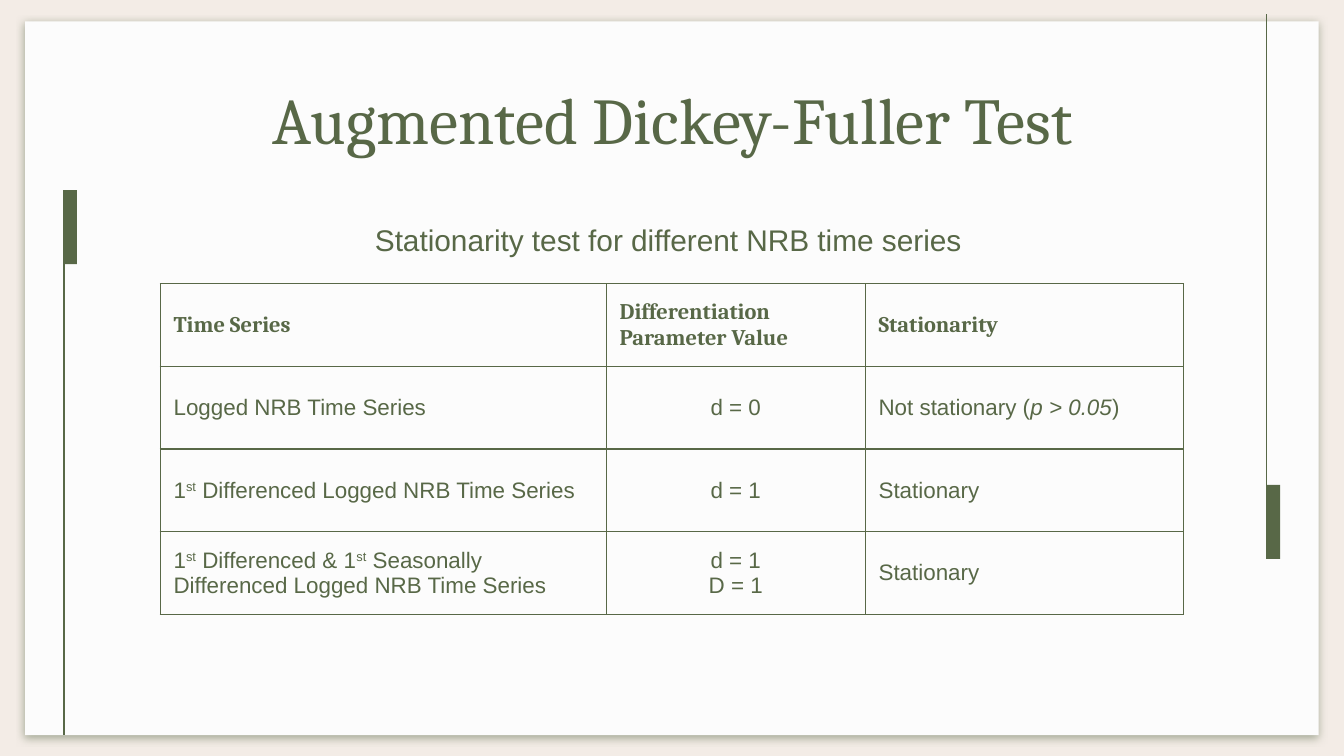
import copy
from dataclasses import dataclass

import lxml.etree
import pptx
import pptx.dml.color
import pptx.enum.shapes
import pptx.enum.text
import pptx.oxml.ns
import pptx.util

Pt = pptx.util.Pt
qn = pptx.oxml.ns.qn
RGB = pptx.dml.color.RGBColor.from_string
Align = pptx.enum.text.PP_ALIGN
Middle = pptx.enum.text.MSO_ANCHOR.MIDDLE


@dataclass(frozen=True)
class Theme:
    green: str = "586847"
    paper: str = "FCFCFC"
    backdrop: str = "F3ECE6"
    heading: str = "Cambria"
    body: str = "Arial"
    title_size: float = 35
    subtitle_size: float = 16
    table_size: float = 12
    line: float = 0.75
    inset: float = 7.2


@dataclass(frozen=True)
class Box:
    x: float
    y: float
    w: float
    h: float

    def lengths(self):
        return [Pt(v) for v in (self.x, self.y, self.w, self.h)]


@dataclass(frozen=True)
class Span:
    text: str
    italic: bool = False
    superscript: bool = False


@dataclass(frozen=True)
class Ornament:
    """A thin line with a bar beside it."""
    bar: Box
    line_x: float
    line_top: float
    line_bottom: float


THEME = Theme()
ST = Span("st", superscript=True)
ORNAMENTS = [
    Ornament(Box(34.0, 101.9, 7.2, 39.6), 34.4, 101.9, 393.8),
    Ornament(Box(678.6, 259.8, 7.2, 39.6), 678.4, 7.7, 299.4),
]
TABLE = Box(85.8, 152, 548.3, 177.2)
COLUMNS = [239, 138.7, 170.6]
ROWS = [
    ["Time Series", "Differentiation Parameter Value", "Stationarity"],
    ["Logged NRB Time Series", "d = 0",
     [Span("Not stationary ("), Span("p > 0.05", italic=True), Span(")")]],
    [[Span("1"), ST, Span(" Differenced Logged NRB Time Series")], "d = 1", "Stationary"],
    [[Span("1"), ST, Span(" Differenced & 1"), ST,
      Span(" Seasonally Differenced Logged NRB Time Series")], "d = 1\nD = 1", "Stationary"],
]


def add_run(p, span: Span, font: str, size: float, bold: bool):
    r = p.add_run()
    r.text = span.text
    r.font.name, r.font.size, r.font.bold = font, Pt(size), bold
    r.font.italic = span.italic
    r.font.color.rgb = RGB(THEME.green)
    if span.superscript:
        r.font._element.set("baseline", "30000")
    return r


def write(tf, text: str | list[Span], *, font: str = THEME.body, size: float = THEME.table_size,
          bold: bool = False, align=Align.LEFT, spacing: float = 1.0, after: float = 0) -> None:
    """Fill the first paragraph; a newline becomes a line break of the same format."""
    p = tf.paragraphs[0]
    p.alignment, p.line_spacing, p.space_after = align, spacing, Pt(after)
    for span in [Span(text)] if isinstance(text, str) else text:
        for i, part in enumerate(span.text.split("\n")):
            if i:
                p.add_line_break()
                p._p[-1].append(copy.deepcopy(r.font._element))
            r = add_run(p, Span(part, span.italic, span.superscript), font, size, bold)


def add_rect(s, box: Box, color: str):
    sp = s.shapes.add_shape(pptx.enum.shapes.MSO_SHAPE.RECTANGLE, *box.lengths())
    sp.shadow.inherit = False
    sp.fill.solid()
    sp.fill.fore_color.rgb = RGB(color)
    sp.line.fill.background()
    return sp


def add_shadow(sp) -> None:
    effects = sp._element.spPr.find(qn("a:effectLst"))
    shadow = lxml.etree.SubElement(effects, qn("a:outerShdw"), blurRad=str(Pt(4.5)),
                                   dist=str(Pt(1.5)), dir="5400000", rotWithShape="0")
    color = lxml.etree.SubElement(shadow, qn("a:srgbClr"), val=THEME.green)
    lxml.etree.SubElement(color, qn("a:alpha"), val="50000")


def add_ornament(s, o: Ornament) -> None:
    add_rect(s, o.bar, THEME.green)
    line = s.shapes.add_connector(pptx.enum.shapes.MSO_CONNECTOR.STRAIGHT, Pt(o.line_x),
                                  Pt(o.line_top), Pt(o.line_x), Pt(o.line_bottom))
    line.line.color.rgb = RGB(THEME.green)
    line.line.width = Pt(THEME.line)
    lxml.etree.SubElement(line._element.spPr, qn("a:effectLst"))


def add_text(s, box: Box, text: str, **style) -> None:
    tf = s.shapes.add_textbox(*box.lengths()).text_frame
    tf.word_wrap = True
    tf.margin_left = tf.margin_right = tf.margin_top = tf.margin_bottom = Pt(THEME.inset)
    write(tf, text, **style)


def set_borders(cell) -> None:
    tc_pr = cell._tc.get_or_add_tcPr()
    for i, side in enumerate(("lnL", "lnR", "lnT", "lnB")):
        ln = lxml.etree.Element(qn(f"a:{side}"), w=str(Pt(THEME.line)))
        fill = lxml.etree.SubElement(ln, qn("a:solidFill"))
        lxml.etree.SubElement(fill, qn("a:srgbClr"), val=THEME.green)
        tc_pr.insert(i, ln)


def add_table(s) -> None:
    table = s.shapes.add_table(len(ROWS), len(COLUMNS), *TABLE.lengths()).table
    table.first_row = table.horz_banding = False
    for column, width in zip(table.columns, COLUMNS):
        column.width = Pt(width)
    for i, texts in enumerate(ROWS):
        table.rows[i].height = Pt(TABLE.h / len(ROWS))
        for j, text in enumerate(texts):
            cell = table.cell(i, j)
            cell.fill.background()
            cell.vertical_anchor = Middle
            cell.margin_left = cell.margin_right = Pt(THEME.inset)
            cell.margin_top = cell.margin_bottom = 0
            set_borders(cell)
            if i == 0:
                write(cell.text_frame, text, font=THEME.heading, bold=True)
            else:
                align = Align.CENTER if j == 1 else Align.LEFT
                write(cell.text_frame, text, align=align, after=16)


def main() -> None:
    prs = pptx.Presentation()
    prs.slide_width, prs.slide_height = Pt(720), Pt(405)
    s = prs.slides.add_slide(prs.slide_layouts[6])
    s.background.fill.solid()
    s.background.fill.fore_color.rgb = RGB(THEME.backdrop)

    add_shadow(add_rect(s, Box(13.5, 11.5, 693, 382.3), THEME.paper))
    for ornament in ORNAMENTS:
        add_ornament(s, ornament)
    add_text(s, Box(56.9, 35.3, 607, 45.4), "Augmented Dickey-Fuller Test",
             font=THEME.heading, size=THEME.title_size, align=Align.CENTER)
    add_text(s, Box(56.9, 108.7, 607, 41.8), "Stationarity test for different NRB time series ",
             size=THEME.subtitle_size, align=Align.CENTER, spacing=1.15)
    add_table(s)
    prs.save("out.pptx")


if __name__ == "__main__":
    main()
